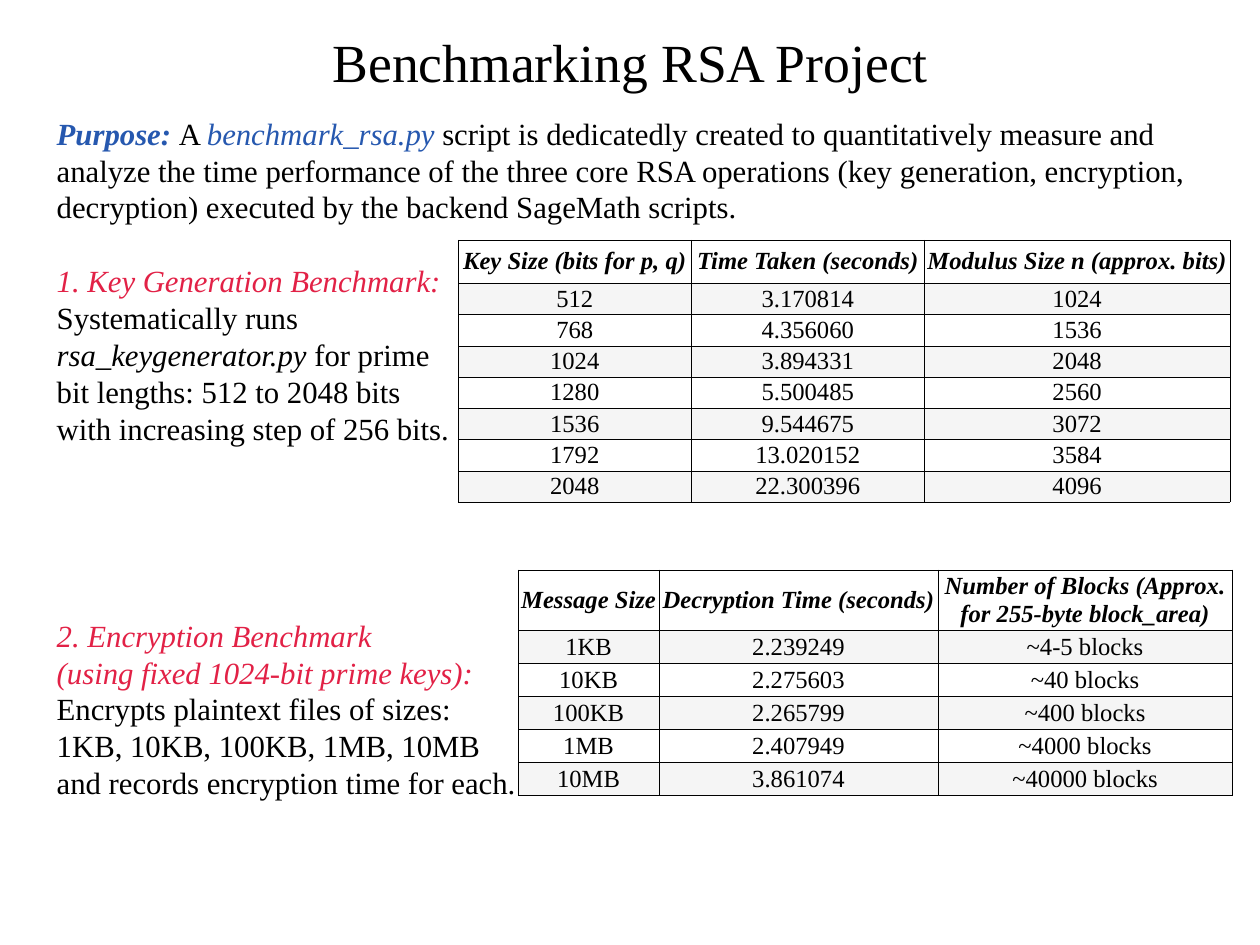
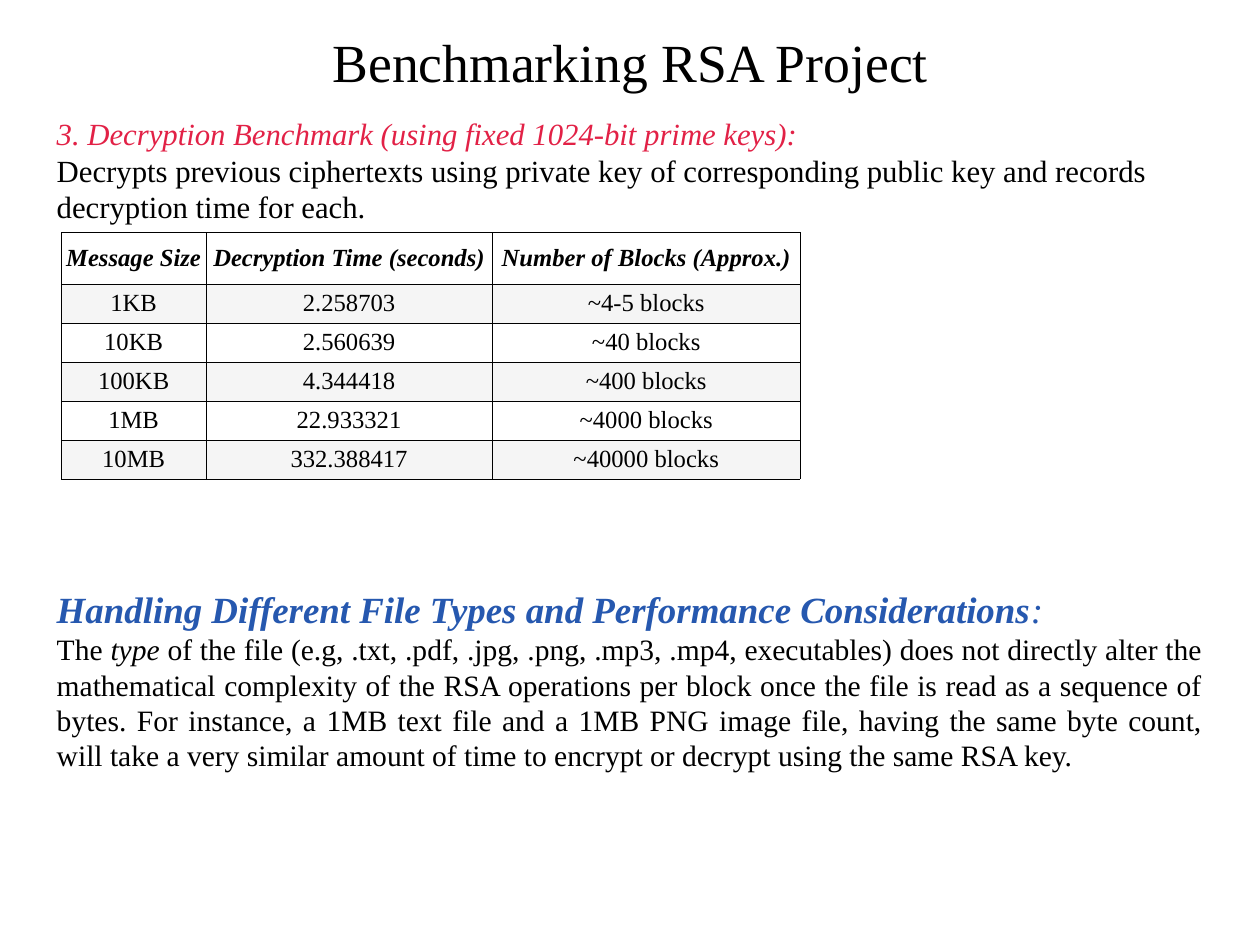
from lxml import etree
from pptx import Presentation
from pptx.dml.color import RGBColor as RGB
from pptx.enum.text import MSO_ANCHOR as ANCHOR, PP_ALIGN as ALIGN
from pptx.oxml.ns import qn
from pptx.util import Pt

COLORS = {"black": "000000", "blue": "2658AF", "red": "E22146", "stripe": "F5F5F5"}
FONT = "Times New Roman"
BODY, SMALL, HEADING, TITLE, CELL = 25, 24, 30, 43.6, 20
LEADING = 1.2
INSET, CELL_INSET, BORDER = 4.3, 0.7, 0.35
LEFT, TOP, WIDTH = 41.8, 88.6, 939.6
TITLE_BOX = (139, 18, 746.6, 62)
BLOCKS = ["~4-5 blocks", "~40 blocks", "~400 blocks", "~4000 blocks", "~40000 blocks"]
SIZES = ["1KB", "10KB", "100KB", "1MB", "10MB"]


def style(font, size, color="black", bold=False, italic=False):
    font.name, font.size = FONT, Pt(size)
    font.bold, font.italic = bold, italic
    font.color.rgb = RGB.from_string(COLORS[color])


def add_runs(p, size, runs):
    """Each run is (text, color, marks); marks holds b and i, newlines are line breaks."""
    for text, color, marks in runs:
        for i, line in enumerate(text.split("\n")):
            if i:
                p.add_line_break()
            if line:
                r = p.add_run()
                r.text = line
                style(r.font, size, color, "b" in marks, "i" in marks)


def add_text(s, box, paragraphs, anchor=ANCHOR.TOP):
    """Each paragraph is (size, alignment, runs)."""
    tf = s.shapes.add_textbox(*map(Pt, box)).text_frame
    tf.word_wrap, tf.vertical_anchor = True, anchor
    tf.margin_left = tf.margin_right = tf.margin_top = tf.margin_bottom = Pt(INSET)
    for i, (size, align, runs) in enumerate(paragraphs):
        p = tf.paragraphs[0] if i == 0 else tf.add_paragraph()
        p.alignment = align
        if size != TITLE:
            p.line_spacing = Pt(size * LEADING)
        add_runs(p, size, runs)


def add_borders(cell):
    tc_pr = cell._tc.get_or_add_tcPr()
    for i, side in enumerate(("a:lnL", "a:lnR", "a:lnT", "a:lnB")):
        ln = etree.Element(qn(side), w=str(int(Pt(BORDER))))
        fill = etree.SubElement(ln, qn("a:solidFill"))
        etree.SubElement(fill, qn("a:srgbClr"), val=COLORS["black"])
        tc_pr.insert(i, ln)


def add_results(s, left, top, widths, head_height, row_height, rows):
    """Ruled table with a bold italic head and every other row shaded."""
    heights = [head_height] + [row_height] * (len(rows) - 1)
    box = map(Pt, (left, top, sum(widths), sum(heights)))
    table = s.shapes.add_table(len(rows), len(widths), *box).table
    table.first_row = table.horz_banding = False
    for column, width in zip(table.columns, widths):
        column.width = Pt(width)
    for i, (height, values) in enumerate(zip(heights, rows)):
        table.rows[i].height = Pt(height)
        for j, value in enumerate(values):
            cell = table.cell(i, j)
            cell.margin_left = cell.margin_right = Pt(CELL_INSET)
            cell.margin_top = cell.margin_bottom = Pt(CELL_INSET)
            cell.vertical_anchor = ANCHOR.MIDDLE
            if i % 2:
                cell.fill.solid()
                cell.fill.fore_color.rgb = RGB.from_string(COLORS["stripe"])
            else:
                cell.fill.background()
            add_borders(cell)
            p = cell.text_frame.paragraphs[0]
            p.alignment = ALIGN.CENTER
            add_runs(p, CELL, [(value, "black", "bi" if i == 0 else "")])


def add_slide(prs):
    s = prs.slides.add_slide(prs.slide_layouts[6])
    title = [("Benchmarking RSA Project", "black", "")]
    add_text(s, TITLE_BOX, [(TITLE, ALIGN.CENTER, title)], ANCHOR.BOTTOM)
    return s


def add_section(s, top, width, height, *runs):
    add_text(s, (LEFT, top, width, height), [(BODY, ALIGN.LEFT, runs)])


def key_and_encryption_slide(prs):
    s = add_slide(prs)
    add_section(
        s, TOP, WIDTH, 99,
        ("Purpose: ", "blue", "bi"), ("A ", "black", ""),
        ("benchmark_rsa.py ", "blue", "i"),
        ("script is dedicatedly created to quantitatively measure and analyze the time "
         "performance of the three core RSA operations (key generation, encryption, "
         "decryption) executed by the backend SageMath scripts.", "black", ""))
    add_section(
        s, TOP + 120, 333, 159,
        ("1. Key Generation Benchmark:\n", "red", "i"),
        ("Systematically runs\n", "black", ""), ("rsa_keygenerator.py", "black", "i"),
        (" for prime\nbit lengths: 512 to 2048 bits\nwith increasing step of 256 bits.",
         "black", ""))
    add_section(
        s, TOP + 408, 386, 159,
        ("2. Encryption Benchmark\n(using fixed 1024-bit prime keys):\n", "red", "i"),
        ("Encrypts plaintext files of sizes:\n1KB, 10KB, 100KB, 1MB, 10MB\n"
         "and records encryption time for each.", "black", ""))

    times = ["3.170814", "4.356060", "3.894331", "5.500485", "9.544675", "13.020152",
             "22.300396"]
    bits = range(512, 2049, 256)
    add_results(
        s, 372.4, 195, (189.4, 189.4, 248.4), 35.2, 24.3,
        [("Key Size (bits for p, q)", "Time Taken (seconds)",
          "Modulus Size n (approx. bits)"),
         *((str(n), t, str(2 * n)) for n, t in zip(bits, times))])
    times = ["2.239249", "2.275603", "2.265799", "2.407949", "3.861074"]
    add_results(
        s, 421.2, 463, (114.3, 226.8, 239), 47, 26.8,
        [("Message Size", "Decryption Time (seconds)",
          "Number of Blocks (Approx. for 255-byte block_area)"),
         *zip(SIZES, times, BLOCKS)])


def decryption_slide(prs):
    s = add_slide(prs)
    add_section(
        s, TOP, WIDTH, 99,
        ("3. Decryption Benchmark (using fixed 1024-bit prime keys):\n", "red", "i"),
        ("Decrypts previous ciphertexts using private key of corresponding public key "
         "and records decryption time for each.", "black", ""))
    times = ["2.258703", "2.560639", "4.344418", "22.933321", "332.388417"]
    add_results(
        s, 49.8, 188.8, (117.6, 232.6, 250.4), 42, 31.7,
        [("Message Size", "Decryption Time (seconds)", "Number of Blocks (Approx.)"),
         *zip(SIZES, times, BLOCKS)])
    add_text(s, (LEFT, TOP + 384, WIDTH, 160), [
        (HEADING, ALIGN.LEFT, [
            ("Handling Different File Types and Performance Considerations", "blue", "bi"),
            (":", "blue", "i")]),
        (SMALL, ALIGN.JUSTIFY, [
            ("The ", "black", ""), ("type", "black", "i"),
            (" of the file (e.g, .txt, .pdf, .jpg, .png, .mp3, .mp4, executables) does not "
             "directly alter the mathematical complexity of the RSA operations per block "
             "once the file is read as a sequence of bytes. For instance, a 1MB text file "
             "and a 1MB PNG image file, having the same byte count, will take a very "
             "similar amount of time to encrypt or decrypt using the same RSA key.",
             "black", "")])])


def main():
    prs = Presentation()
    prs.slide_width, prs.slide_height = Pt(1024), Pt(768)
    key_and_encryption_slide(prs)
    decryption_slide(prs)
    prs.save("out.pptx")


if __name__ == "__main__":
    main()
